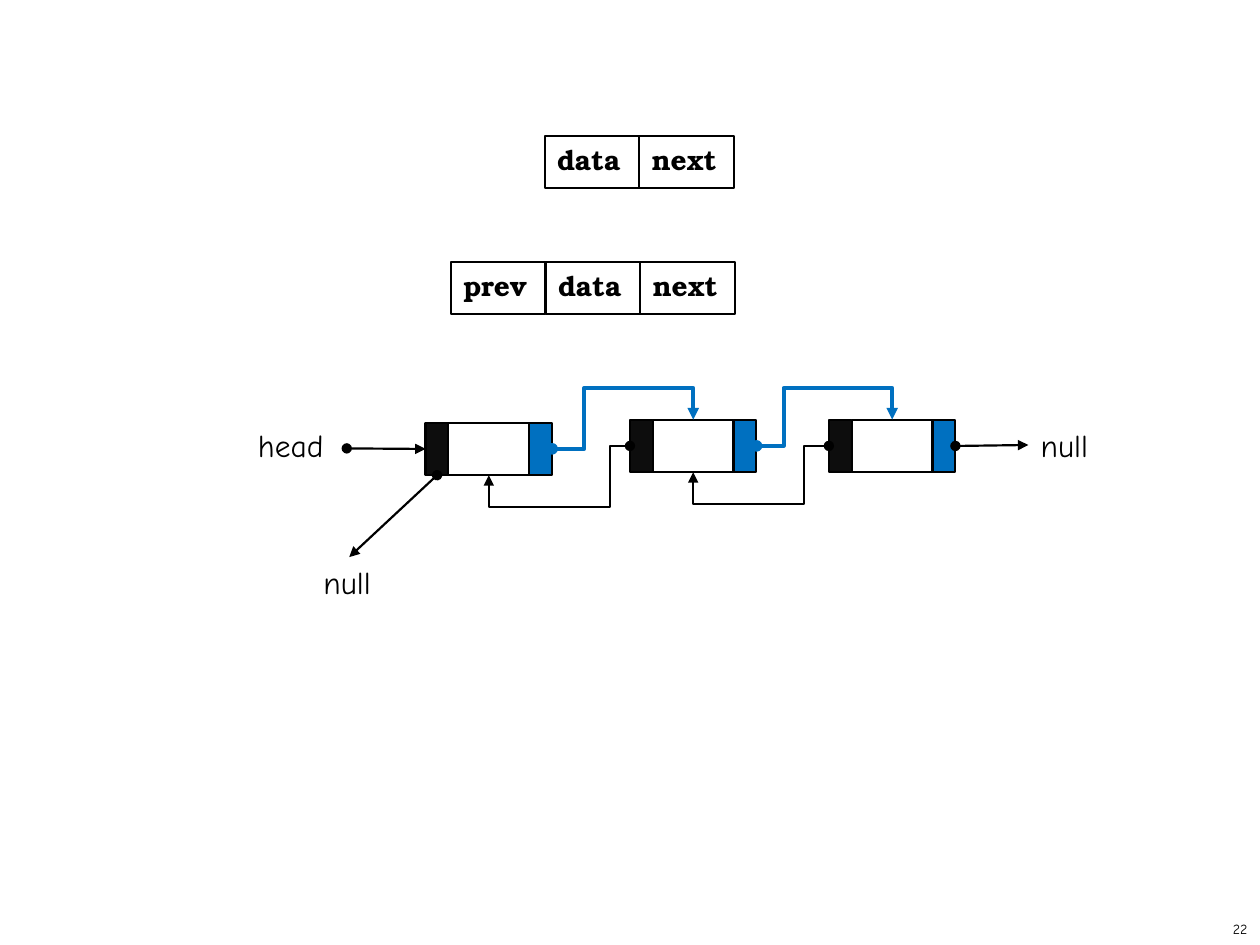
from pptx import Presentation
from pptx.dml.color import RGBColor
from pptx.enum.shapes import MSO_CONNECTOR, MSO_SHAPE
from pptx.enum.text import MSO_ANCHOR, PP_ALIGN
from pptx.oxml.ns import qn
from pptx.util import Cm, Pt
from lxml.etree import SubElement

COLORS = {"ink": "000000", "paper": "FFFFFF", "next": "0070C0", "prev": "0D0D0D"}
SANS, SERIF = "Comic Neue", "TeX Gyre Bonum"

# Lengths are in centimetres.
RECORDS = [  # left, top, fields
    (10.98, 2.74, ["data", "next"]),
    (9.09, 5.28, ["prev", "data", "next"]),
]
NODES = [(8.58, 8.52), (12.7, 8.46), (16.71, 8.46)]  # left, top
PARTS = [("prev", 0.46), ("paper", 1.63), ("next", 0.46)]  # fill, width
LINKS = [(0.65, 0.41), (0.55, 0.51)]  # first leg of the next and prev arrows
LABELS = [  # text, left, top, width
    ("head", 4.95, 8.46, 1.93),
    ("null", 20.73, 8.46, 1.52),
    ("null", 6.27, 11.23, 1.52),
]
FIELD_W, BOX_H, DETOUR = 1.91, 1.06, 0.64
TOP, LEFT, BOTTOM, RIGHT = range(4)


def rgb(name):
    return RGBColor.from_string(COLORS[name])


def add_box(shapes, x, y, w, fill, text=None):
    sp = shapes.add_shape(MSO_SHAPE.RECTANGLE, Cm(x), Cm(y), Cm(w), Cm(BOX_H))
    sp.shadow.inherit = False
    sp.fill.solid()
    sp.fill.fore_color.rgb = rgb(fill)
    sp.line.color.rgb = rgb("ink")
    sp.line.width = Pt(1.25)
    if text:
        tf = sp.text_frame
        tf.vertical_anchor = MSO_ANCHOR.TOP
        write(tf, text, SERIF, 16, PP_ALIGN.LEFT, bold=True)
    return sp


def write(tf, text, font, size, align=PP_ALIGN.LEFT, bold=False):
    p = tf.paragraphs[0]
    p.text = text
    p.alignment = align
    p.font.name, p.font.size, p.font.bold = font, Pt(size), bold
    p.font.color.rgb = rgb("ink")


def add_label(shapes, text, x, y, w, h=1.03, size=18, align=PP_ALIGN.LEFT):
    tf = shapes.add_textbox(Cm(x), Cm(y), Cm(w), Cm(h)).text_frame
    tf.word_wrap = False
    write(tf, text, SANS, size, align)
    return tf


def add_arrow(shapes, kind, start, end, color="ink", width=1.25):
    """Add a connector with a dot at its start and a triangle at its end."""
    cxn = shapes.add_connector(kind, *(Cm(v) for v in (*start, *end)))
    cxn.line.color.rgb = rgb(color)
    cxn.line.width = Pt(width)
    ln = cxn.line._get_or_add_ln()
    SubElement(ln, qn("a:headEnd"), type="oval")
    SubElement(ln, qn("a:tailEnd"), type="triangle")
    SubElement(cxn._element.spPr, qn("a:effectLst"))
    return cxn


def add_detour(shapes, start, end, leg, **style):
    """Add an elbow that leaves sideways, passes beyond the end and turns back."""
    cxn = add_arrow(shapes, MSO_CONNECTOR.ELBOW, start, end, **style)
    geom = cxn._element.spPr.find(qn("a:prstGeom"))
    geom.set("prst", "bentConnector4")
    av = geom.find(qn("a:avLst"))
    if av is None:
        av = SubElement(geom, qn("a:avLst"))
    ratios = leg / abs(end[0] - start[0]), 1 + DETOUR / abs(end[1] - start[1])
    for i, ratio in enumerate(ratios, 1):
        SubElement(av, qn("a:gd"), name=f"adj{i}", fmla=f"val {round(ratio * 100000)}")


def add_row(shapes, x, y, cells):
    """Add touching boxes as one group; cells are (fill, width, text)."""
    group = shapes.add_group_shape()
    boxes = []
    for fill, w, text in cells:
        boxes.append(add_box(group.shapes, x, y, w, fill, text))
        x += w
    return boxes


def side(box, site):
    """Return the middle of a box's side in centimetres."""
    x, y, w, h = (v.cm for v in (box.left, box.top, box.width, box.height))
    return [(x + w / 2, y), (x, y + h / 2), (x + w / 2, y + h), (x + w, y + h / 2)][site]


def main():
    prs = Presentation()
    prs.slide_width, prs.slide_height = Cm(25.4), Cm(19.05)
    shapes = prs.slides.add_slide(prs.slide_layouts[6]).shapes

    for x, y, fields in RECORDS:
        add_row(shapes, x, y, [("paper", FIELD_W, name) for name in fields])
    nodes = [add_row(shapes, x, y, [(fill, w, None) for fill, w in PARTS])
             for x, y in NODES]

    for a, b, (next_leg, prev_leg) in zip(nodes, nodes[1:], LINKS):
        add_detour(shapes, side(b[0], LEFT), side(a[1], BOTTOM), prev_leg)
        add_detour(shapes, side(a[2], RIGHT), side(b[1], TOP), next_leg,
                   color="next", width=2.25)

    first, last = nodes[0][0], nodes[-1][2]
    straight = MSO_CONNECTOR.STRAIGHT
    head = add_arrow(shapes, straight, (6.99, 9.04), side(first, LEFT))
    head.end_connect(first, LEFT)
    for box, site, end in [(last, RIGHT, (20.73, 8.97)), (first, BOTTOM, (7.04, 11.23))]:
        add_arrow(shapes, straight, side(box, site), end).begin_connect(box, site)

    for label in LABELS:
        add_label(shapes, *label)
    number = add_label(shapes, "22", 20.12, 18.42, 5.28, 0.63, 8, PP_ALIGN.RIGHT)
    number.vertical_anchor = MSO_ANCHOR.MIDDLE

    prs.save("out.pptx")


if __name__ == "__main__":
    main()
